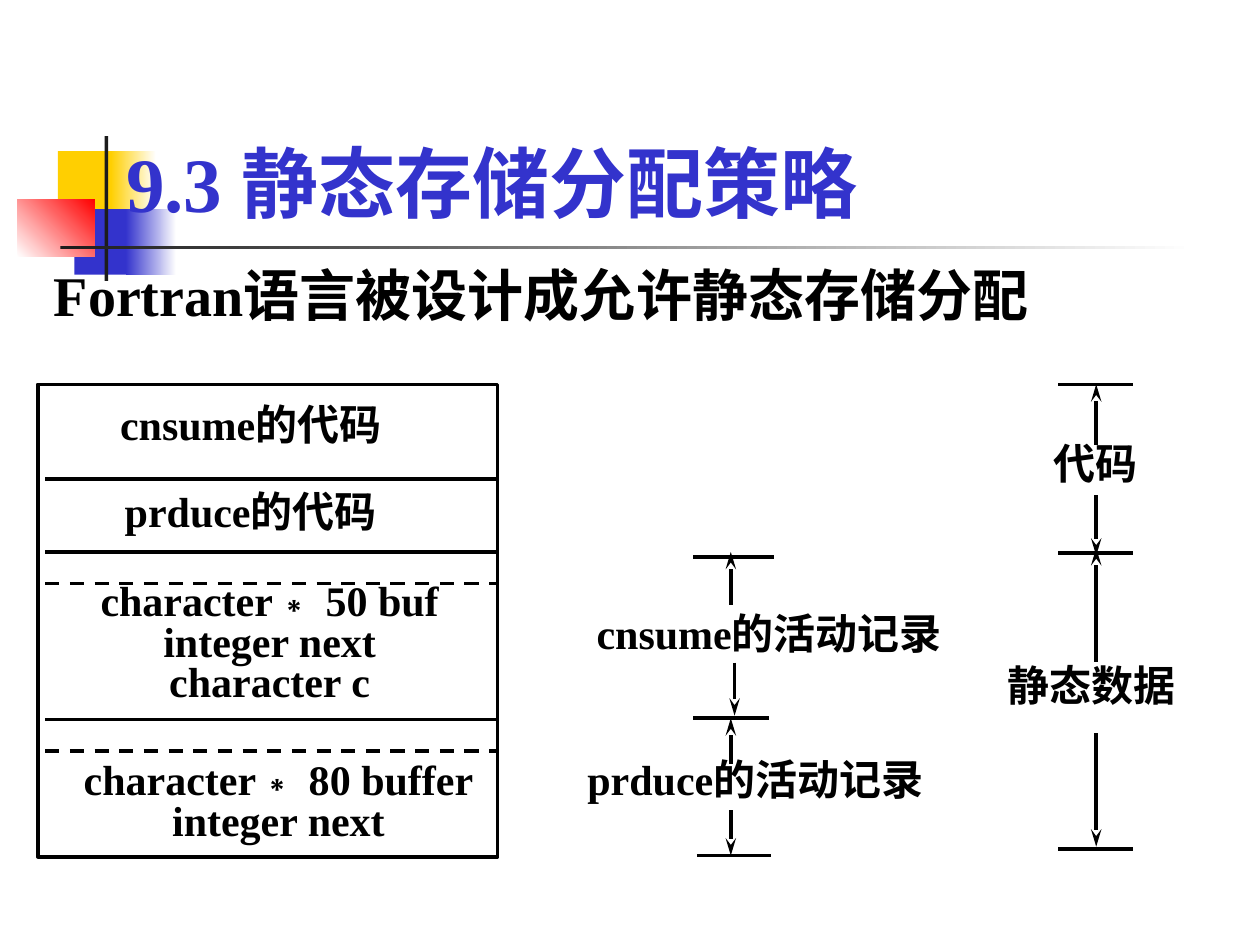
from lxml import etree
from pptx import Presentation
from pptx import util as u
from pptx.dml.color import RGBColor
from pptx.enum import dml, shapes, text
from pptx.oxml import ns

PX = u.Inches(1) // 100
SERIF = "Times New Roman"
BLACK, BLUE, WHITE = "000000", "3333CC", "FFFFFF"


def px(*values):
    return [u.Emu(v * PX) for v in values]


def rgb(value):
    return RGBColor.from_string(value)


def add_child(parent, tag, **attrs):
    return etree.SubElement(parent, ns.qn(tag), attrs)


def style_run(r, size, color=BLACK, font=SERIF):
    r.font.size = u.Pt(size)
    r.font.bold = True
    r.font.name = font
    r.font.color.rgb = rgb(color)


def add_rect(s, box, colors=(), angle=0):
    sp = s.shapes.add_shape(shapes.MSO_SHAPE.RECTANGLE, *px(*box))
    sp.shadow.inherit = False
    sp.line.fill.background()
    if len(colors) == 2:
        sp.fill.gradient()
        sp.fill.gradient_angle = angle
        for stop, color in zip(sp.fill.gradient_stops, colors):
            stop.color.rgb = rgb(color)
    elif colors:
        sp.fill.solid()
        sp.fill.fore_color.rgb = rgb(colors[0])
    else:
        sp.fill.background()
    return sp


def add_line(s, x1, y1, x2, y2, dashed=False, arrow=False):
    line = s.shapes.add_connector(shapes.MSO_CONNECTOR.STRAIGHT, *px(x1, y1, x2, y2))
    line.line.width = u.Pt(2)
    line.line.color.rgb = rgb(BLACK)
    if dashed:
        line.line.dash_style = dml.MSO_LINE.DASH
    if arrow:
        add_child(line.line._get_or_add_ln(), "a:tailEnd", type="stealth", w="med", len="lg")
    add_child(line._element.spPr, "a:effectLst")


def add_text(s, box, lines, margins=(9, 5), spacing=None):
    tf = s.shapes.add_textbox(*px(*box)).text_frame
    tf.word_wrap = True
    tf.margin_top, tf.margin_bottom = px(*margins)
    for i, parts in enumerate(lines):
        p = tf.paragraphs[0] if i == 0 else tf.add_paragraph()
        p.alignment = text.PP_ALIGN.CENTER
        if spacing:
            p.line_spacing = spacing
        for part in parts:
            r = p.add_run()
            r.text = part
            style_run(r, 24, font="Arial" if part == "∗" else SERIF)


def add_ornament(s, x, y):
    blocks = [
        ((32, 12, 48, 52), ["FFCF01"], 0),
        ((74, 12, 36, 52), ["FFCF01", WHITE], 0),
        ((45, 58, 46, 52), [BLUE], 0),
        ((86, 58, 40, 52), [BLUE, WHITE], 0),
        ((0, 50, 61, 46), [WHITE, "FF0000"], 45),
        ((69, 0, 3, 115), ["1C1C1C"], 0),
        ((34, 87, 900, 3), ["1C1C1C", WHITE], 0),
    ]
    for (dx, dy, w, h), colors, angle in blocks:
        add_rect(s, (x + dx, y + dy, w, h), colors, angle)


def add_heading(s, box):
    title = s.shapes.title
    title.left, title.top, title.width, title.height = px(*box)
    tf = title.text_frame
    tf.text = "9.3 静态存储分配策略"
    tf.vertical_anchor = text.MSO_ANCHOR.BOTTOM
    tf.paragraphs[0].alignment = text.PP_ALIGN.LEFT
    style_run(tf.paragraphs[0].runs[0], 44, BLUE)


def add_statement(s, box):
    tf = s.shapes.add_textbox(*px(*box)).text_frame
    tf.word_wrap = True
    tf.text = "Fortran语言被设计成允许静态存储分配"
    p = tf.paragraphs[0]
    p.alignment = text.PP_ALIGN.JUSTIFY
    style_run(p.runs[0], 32)


def add_memory(s, x, y, w, h):
    frame = add_rect(s, (x, y, w, h))
    frame.line.color.rgb = rgb(BLACK)
    frame.line.width = u.Pt(2)
    for dy, name in ((2, "cnsume"), (71, "prduce")):
        add_text(s, (x + 7, y + dy, 324, 59), [[name + "的代码"]])
    records = [
        (158, 374, 82, [["character", "∗", " 50 buf"], ["integer next"], ["character c"]]),
        (300, 388, 63, [["character", "∗", " 80 buffer"], ["integer next"]]),
    ]
    for dy, width, height, lines in records:
        add_text(s, (x - 3, y + dy, width, height), lines, (1, 1), 0.8)
    for dy, dashed in ((75, False), (133, False), (158, True), (266, False), (291, True)):
        add_line(s, x + 6, y + dy, x + w - 1, y + dy, dashed)


def add_ranges(s, x, y, ticks, spans):
    for left, right, dy in ticks:
        add_line(s, x + left, y + dy, x + right, y + dy)
    for label, (dx, dy, w, h), arrows in spans:
        add_text(s, (x + dx, y + dy, w, h), [[label]])
        for ax, start, end in arrows:
            add_line(s, x + ax, y + start, x + ax, y + end, arrow=True)


def build_slide(prs):
    s = prs.slides.add_slide(prs.slide_layouts[5])
    add_ornament(s, 14, 108)
    add_heading(s, (90, 61, 775, 125))
    s.shapes._spTree.append(s.shapes.title._element)
    add_statement(s, (33, 202, 933, 70))
    add_memory(s, 30, 305, 365, 375)
    add_ranges(
        s, 550, 438,
        [(0, 64, 4), (0, 60, 132), (3, 62, 241)],
        [
            ("cnsume的活动记录", (-126, 35, 373, 59), [(30, 42, 0), (33, 88, 130)]),
            ("prduce的活动记录", (-131, 151, 361, 59), [(30, 168, 132), (30, 205, 241)]),
        ],
    )
    add_ranges(
        s, 840, 305,
        [(0, 59, 0), (0, 59, 134), (0, 59, 369)],
        [
            ("代码", (-32, 33, 123, 59), [(30, 48, 0), (30, 88, 136)]),
            ("静态数据", (-71, 209, 195, 59), [(30, 220, 130), (30, 277, 367)]),
        ],
    )


def main():
    prs = Presentation()
    prs.slide_width, prs.slide_height = px(1000, 750)
    build_slide(prs)
    prs.save("out.pptx")


if __name__ == "__main__":
    main()
